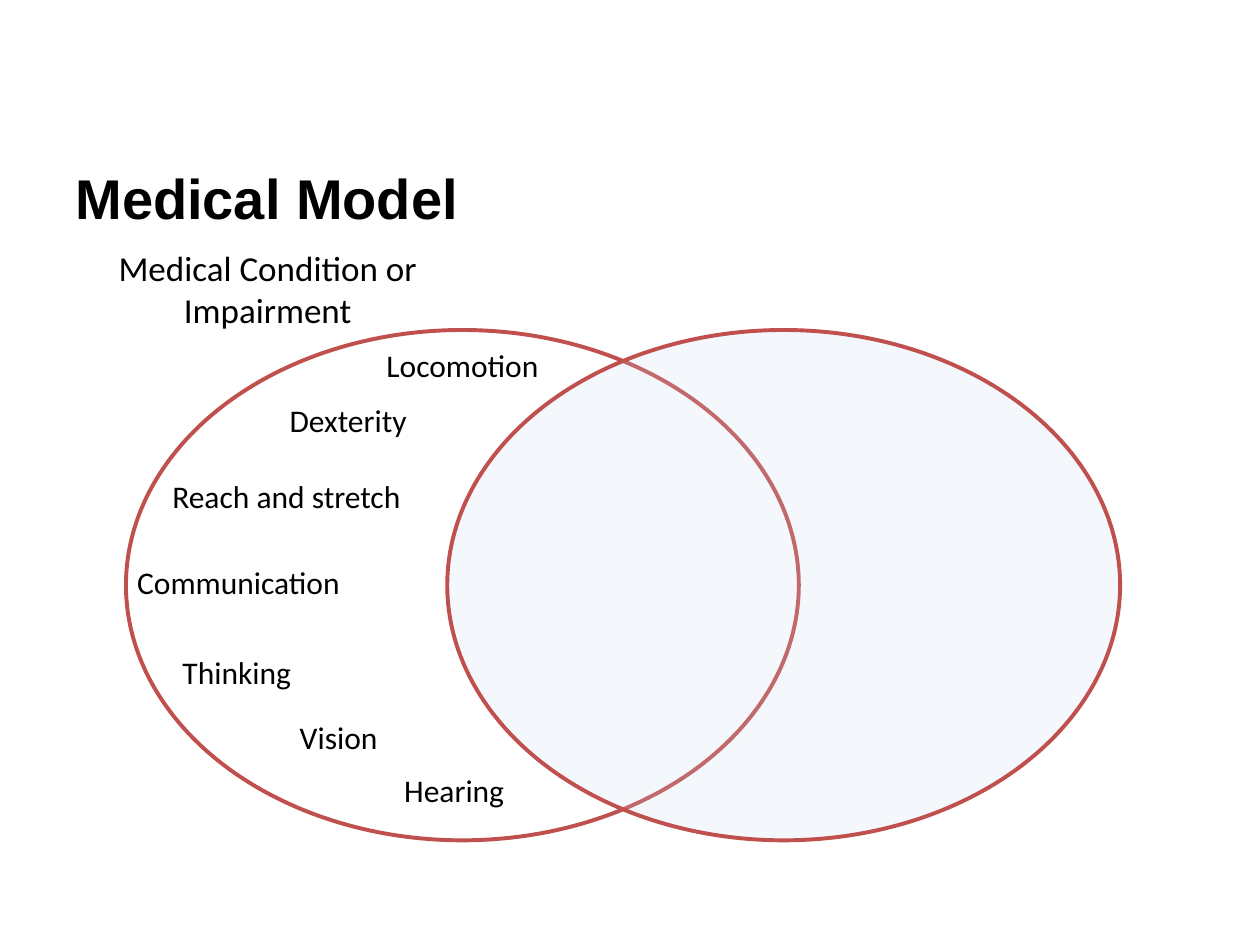
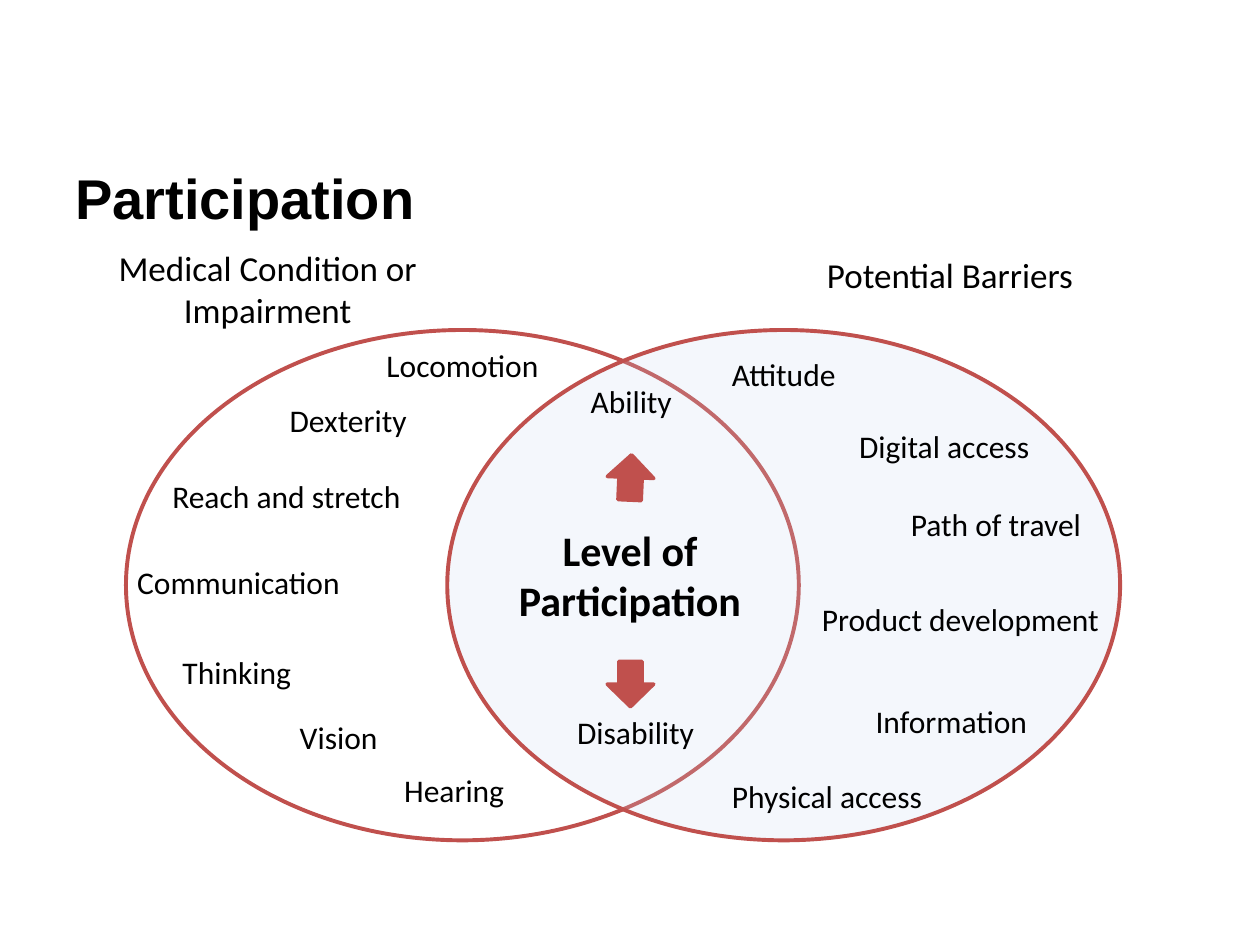
from dataclasses import dataclass

from lxml import etree
from pptx import Presentation
from pptx.dml.color import RGBColor
from pptx.enum.shapes import MSO_SHAPE
from pptx.enum.text import MSO_ANCHOR, PP_ALIGN
from pptx.oxml.ns import qn
from pptx.shapes.autoshape import Shape
from pptx.slide import Slide
from pptx.util import Pt

OVAL, ARROW = MSO_SHAPE.OVAL, MSO_SHAPE.DOWN_ARROW
LEFT, MID, RIGHT = PP_ALIGN.LEFT, PP_ALIGN.CENTER, PP_ALIGN.RIGHT
TOP, CENTRE = MSO_ANCHOR.TOP, MSO_ANCHOR.MIDDLE
BLACK, WHITE, RED, BLUE = "000000", "FFFFFF", "C0504D", "C6D9F1"
HEAD, BODY = "Arial", "Calibri"
ROW = 28.8


@dataclass(frozen=True)
class Label:
    """A line of text with its place and format, in points."""
    text: str
    left: float
    top: float
    width: float
    height: float = ROW
    size: int = 18
    bold: bool = False
    align: PP_ALIGN = LEFT


HEALTH = [
    Label("Medical Condition or Impairment", 35.3, 137.5, 235.4, 55.4,
          size=20, align=MID),
    Label("Locomotion", 213.8, 194.4, 134.6),
    Label("Dexterity", 158.4, 225.4, 134.6),
    Label("Reach and stretch", 91.4, 269.3, 164.9),
    Label("Communication", 71.3, 318.2, 164.9),
    Label("Thinking", 97.2, 369.4, 134.6),
    Label("Vision", 164.2, 406.8, 134.6),
    Label("Hearing", 223.9, 437, 134.6),
]
BARRIERS = [
    Label("Potential Barriers", 445.7, 141.1, 194.4, 31.7, size=20, align=MID),
    Label("Attitude", 411.1, 199.4, 167),
    Label("Digital access", 483.8, 240.5, 167),
    Label("Path of travel", 513.4, 285.1, 167),
    Label("Product development", 459.4, 339.1, 175.7, align=RIGHT),
    Label("Information", 418.3, 397.4, 175.7, align=RIGHT),
    Label("Physical access", 411.1, 440.6, 167),
]
LEVEL = [
    Label("Ability", 320.4, 214.6, 80.6, align=MID),
    Label("Level of Participation", 277.9, 295.9, 164.2, 65.5,
          size=24, bold=True, align=MID),
    Label("Disability", 314.6, 403.9, 97.2, align=MID),
]


def tint(code: str) -> RGBColor:
    """Turn a hex string into a colour."""
    return RGBColor.from_string(code)


def write(slide: Slide, text: str, *, left: float, top: float, width: float,
          height: float, size: int, bold: bool = False, font: str = BODY,
          align: PP_ALIGN = LEFT, anchor: MSO_ANCHOR = TOP) -> None:
    """Add a wrapped text box."""
    box = slide.shapes.add_textbox(Pt(left), Pt(top), Pt(width), Pt(height))
    frame = box.text_frame
    frame.word_wrap = True
    frame.vertical_anchor = anchor
    para = frame.paragraphs[0]
    para.alignment = align
    run = para.add_run()
    run.text = text
    run.font.name = font
    run.font.size = Pt(size)
    run.font.bold = bold
    run.font.color.rgb = tint(BLACK)


def draw(slide: Slide, kind: MSO_SHAPE, left: float, top: float, width: float,
         height: float, fill: str = "", line: float = 2) -> Shape:
    """Add a red-lined shape, hollow unless a fill is given."""
    shape = slide.shapes.add_shape(kind, Pt(left), Pt(top), Pt(width), Pt(height))
    shape.shadow.inherit = False
    shape.line.color.rgb = tint(RED)
    shape.line.width = Pt(line)
    if fill:
        shape.fill.solid()
        shape.fill.fore_color.rgb = tint(fill)
    else:
        shape.fill.background()
    return shape


def fade(shape: Shape, share: int) -> None:
    """Set the opacity of a solid fill, in percent."""
    color = shape.fill._xPr.find(f"{qn('a:solidFill')}/{qn('a:srgbClr')}")
    etree.SubElement(color, qn("a:alpha"), val=str(share * 1000))


def label(slide: Slide, items: list[Label]) -> None:
    """Write a list of labels."""
    for item in items:
        write(slide, item.text, left=item.left, top=item.top, width=item.width,
              height=item.height, size=item.size, bold=item.bold, align=item.align)


def venn(deck: Presentation, title: str) -> Slide:
    """Add a slide with the title, both ovals and the health labels."""
    slide = deck.slides.add_slide(deck.slide_layouts[6])
    slide.background.fill.solid()
    slide.background.fill.fore_color.rgb = tint(WHITE)
    write(slide, title, left=36, top=87.8, width=648, height=49.7, size=32,
          bold=True, font=HEAD, anchor=CENTRE)
    draw(slide, OVAL, 72, 188.6, 384.5, 291.6, line=2.25)
    fade(draw(slide, OVAL, 255.6, 188.6, 384.5, 291.6, BLUE, 2.25), 19)
    label(slide, HEALTH)
    return slide


def main() -> None:
    """Build and save both slides."""
    deck = Presentation()
    deck.slide_width, deck.slide_height = Pt(720), Pt(540)
    venn(deck, "Medical Model")
    slide = venn(deck, "Participation")
    label(slide, BARRIERS + LEVEL)
    for top, turn in ((259.9, 182.5), (378, 0)):
        draw(slide, ARROW, 347, top, 26.6, 25.9, RED).rotation = turn
    deck.save("out.pptx")


if __name__ == "__main__":
    main()
